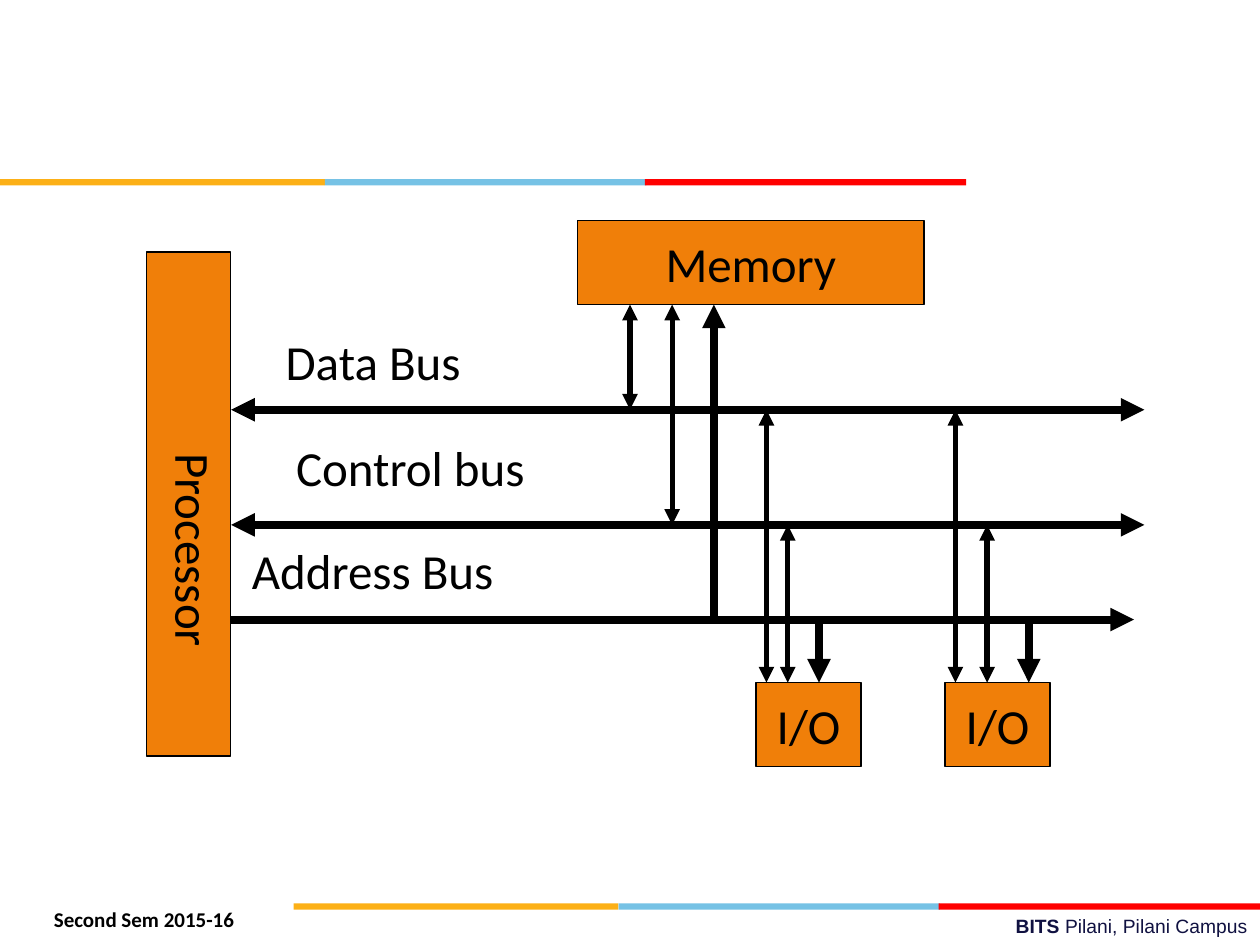
"""Build a slide showing a processor, memory and I/O joined by three buses."""
from lxml.etree import SubElement
from pptx import Presentation
from pptx.dml.color import RGBColor
from pptx.enum.shapes import MSO_CONNECTOR as Connector, MSO_SHAPE as Shape
from pptx.enum.text import MSO_ANCHOR as Anchor, PP_ALIGN as Align
from pptx.oxml.ns import qn
from pptx.util import Cm, Pt

COLORS = {
    "black": "000000",
    "navy": "101141",
    "orange": "F07F09",
    "yellow": "FCB017",
    "blue": "76C2E5",
    "red": "FF0000",
}

deck = Presentation()
deck.slide_width, deck.slide_height = Cm(25.4), Cm(19.05)
page = deck.slides.add_slide(deck.slide_layouts[6])


def add_block(left, top, width, height, fill, outline=None):
    block = page.shapes.add_shape(Shape.RECTANGLE, Cm(left), Cm(top), Cm(width), Cm(height))
    block.shadow.inherit = False
    block.fill.solid()
    block.fill.fore_color.rgb = RGBColor.from_string(COLORS[fill])
    if outline:
        block.line.color.rgb = RGBColor.from_string(COLORS[outline])
        block.line.width = Pt(0.75)
    else:
        block.line.fill.background()
    return block


def write(frame, pieces, size, font="Calibri", color="black", align=Align.LEFT):
    frame.word_wrap = True
    para = frame.paragraphs[0]
    para.alignment = align
    para.font.size = Pt(size)
    para.font.name = font
    para.font.color.rgb = RGBColor.from_string(COLORS[color])
    for text, bold in pieces:
        span = para.add_run()
        span.text = text
        if bold:
            span.font.bold = True


stripe = [("yellow", 0, 6.55), ("blue", 6.55, 6.48), ("red", 13, 6.48)]
for start, top in [(0, 3.61), (5.92, 18.21)]:
    for color, offset, width in stripe:
        add_block(start + offset, top, width, 0.13, color)

campus = page.shapes.add_textbox(Cm(9.09), Cm(18.31), Cm(16.31), Cm(0.74))
write(campus.text_frame, [("BITS ", True), ("Pilani, Pilani Campus", False)],
      11, "Arial", "navy", Align.RIGHT)
semester = page.shapes.add_textbox(Cm(0.71), Cm(18.16), Cm(4.39), Cm(1.02))
write(semester.text_frame, [("Second Sem 2015-16", True)], 12, align=Align.CENTER)

add_block(2.96, 5.08, 1.69, 10.16, "orange", "black")
processor = page.shapes.add_textbox(Cm(2.96), Cm(8.89), Cm(1.69), Cm(5.29))
write(processor.text_frame, [("Processor", False)], 28)
processor.text_frame._txBody.bodyPr.set("vert", "eaVert")

memory_bottom, io_top = 6.14, 13.76
io_lefts = [15.24, 19.05]
labelled = [("Memory", 11.64, 4.45, 6.99)]
labelled += [("I/O", left, io_top, 2.12) for left in io_lefts]
for name, left, top, width in labelled:
    block = add_block(left, top, width, 1.69, "orange", "black")
    write(block.text_frame, [(name, False)], 28, align=Align.CENTER)
    block.text_frame.vertical_anchor = Anchor.MIDDLE
    block.text_frame.margin_left = block.text_frame.margin_right = 0

for name, left, top, width in [
    ("Data Bus", 5.51, 6.55, 4.57),
    ("Control bus", 5.72, 8.69, 5.56),
    ("Address Bus", 4.83, 10.77, 6.3),
]:
    label = page.shapes.add_textbox(Cm(left), Cm(top), Cm(width), Cm(1.45))
    write(label.text_frame, [(name, False)], 28)

data, control, address = 8.26, 10.58, 12.49
bus_left = 4.66
arrows = [
    (bus_left, data, 23.07, data, 4.5, True),
    (bus_left, control, 23.07, control, 4.5, True),
    (bus_left, address, 22.86, address, 4.5, False),
]
links = [
    (12.7, data, memory_bottom),
    (13.55, control, memory_bottom),
    (14.39, address, memory_bottom),
    (15.45, data, io_top),
    (15.88, control, io_top),
    (16.51, address, io_top),
    (19.26, data, io_top),
    (19.9, control, io_top),
    (20.74, address, io_top),
]
for x, bus, end in links:
    both_ways = bus != address
    arrows.append((x, bus, x, end, 3 if both_ways else 4.5, both_ways))

for x1, y1, x2, y2, weight, both_ways in arrows:
    arrow = page.shapes.add_connector(Connector.STRAIGHT, Cm(x1), Cm(y1), Cm(x2), Cm(y2))
    arrow.line.color.rgb = RGBColor.from_string(COLORS["black"])
    arrow.line.width = Pt(weight)
    outline = arrow.line._get_or_add_ln()
    for end in ["headEnd", "tailEnd"] if both_ways else ["tailEnd"]:
        SubElement(outline, qn(f"a:{end}"), type="triangle")
    SubElement(arrow._element.spPr, qn("a:effectLst"))

deck.save("out.pptx")
